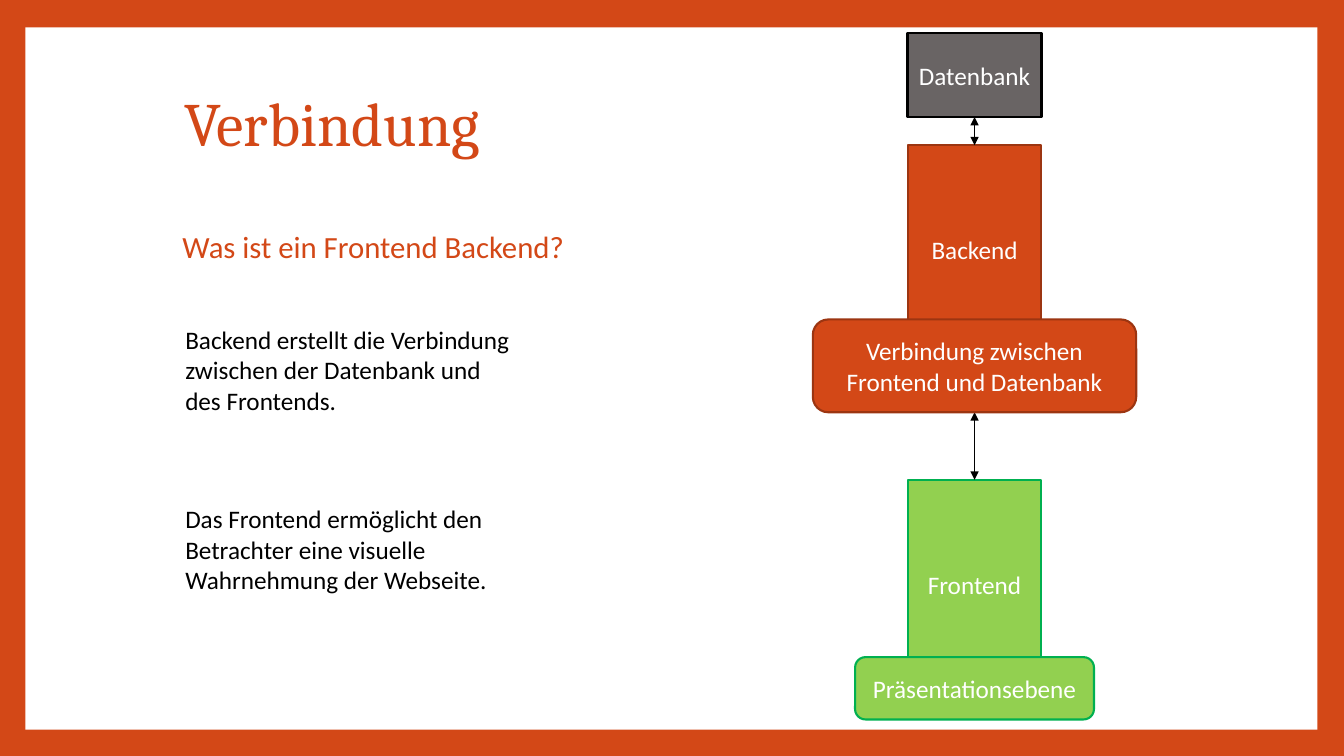
"""Build the slide on how backend and frontend connect."""
from lxml import etree
from pptx import Presentation
from pptx.dml.color import RGBColor
from pptx.enum.shapes import MSO_CONNECTOR, MSO_SHAPE
from pptx.enum.text import MSO_ANCHOR, PP_ALIGN
from pptx.oxml.ns import qn
from pptx.util import Cm, Pt

RECT, ROUNDED = MSO_SHAPE.RECTANGLE, MSO_SHAPE.ROUNDED_RECTANGLE
STRAIGHT = MSO_CONNECTOR.STRAIGHT
TOP, MIDDLE = MSO_ANCHOR.TOP, MSO_ANCHOR.MIDDLE
LEFT, CENTER = PP_ALIGN.LEFT, PP_ALIGN.CENTER

THEME = {
    "accent": "D34817", "accent_line": "9C3511",
    "green": "92D050", "green_line": "00B050",
    "grey": "696464", "black": "000000", "white": "FFFFFF",
    "heading_font": "Cambria", "body_font": "Calibri",
    "title_size": 44, "subtitle_size": 22, "body_size": 18,
    "border": 1.5, "arrow": 0.79,
}

SLIDE_SIZE = (33.87, 19.05)
PANEL = (0.64, 0.69, 32.56, 17.7)
TITLE = ("Verbindung", (4.39, 1.3, 27.43, 3.76))
SUBTITLE = ("Was ist ein Frontend Backend?", (4.35, 5.72, 27.3, 1.14))
EXPLANATIONS = [
    ("Backend erstellt die Verbindung zwischen der Datenbank und des Frontends.",
     (4.42, 8.05, 8.99, 2.57)),
    ("Das Frontend ermöglicht den Betrachter eine visuelle Wahrnehmung der Webseite.",
     (4.42, 12.57, 8.41, 2.57)),
]

STACK_CENTER = 24.56
LAYERS = {
    "Backend": (RECT, 3.66, 3.35, 5.26, "accent", "accent_line"),
    "Frontend": (RECT, 12.09, 3.35, 5.26, "green", "green_line"),
    "Datenbank": (RECT, 0.84, 3.38, 2.11, "grey", "black"),
}
INTERFACES = {
    "Verbindung zwischen Frontend und Datenbank":
        (ROUNDED, 8.05, 8.15, 2.34, "accent", "accent_line"),
    "Präsentationsebene": (ROUNDED, 16.56, 6.02, 1.57, "green", "green_line"),
}
LINKS = [
    ("Datenbank", "Backend"),
    ("Verbindung zwischen Frontend und Datenbank", "Frontend"),
]


def color(name):
    return RGBColor.from_string(THEME[name])


def write(frame, text, *, size="body_size", font="body_font", ink="black",
          align=LEFT, anchor=TOP, spacing=1.0):
    frame.word_wrap = True
    frame.vertical_anchor = anchor
    paragraph = frame.paragraphs[0]
    paragraph.text = text
    paragraph.alignment = align
    paragraph.line_spacing = spacing
    paragraph.font.size = Pt(THEME[size])
    paragraph.font.name = THEME[font]
    paragraph.font.color.rgb = color(ink)


def add_text(slide, text, place, **style):
    box = slide.shapes.add_textbox(*map(Cm, place))
    write(box.text_frame, text, **style)


def add_block(slide, outline, place, fill, border=None):
    block = slide.shapes.add_shape(outline, *map(Cm, place))
    block.shadow.inherit = False
    block.fill.solid()
    block.fill.fore_color.rgb = color(fill)
    if border:
        block.line.color.rgb = color(border)
        block.line.width = Pt(THEME["border"])
    else:
        block.line.fill.background()
    return block


def add_layer(slide, label, layer):
    outline, top, width, height, fill, border = layer
    place = (STACK_CENTER - width / 2, top, width, height)
    block = add_block(slide, outline, place, fill, border)
    write(block.text_frame, label, ink="white", align=CENTER, anchor=MIDDLE)


def add_link(slide, start, end):
    x = Cm(STACK_CENTER)
    link = slide.shapes.add_connector(STRAIGHT, x, Cm(start), x, Cm(end))
    link.line.color.rgb = color("black")
    link.line.width = Pt(THEME["arrow"])
    outline = link.line._get_or_add_ln()
    for tip in ("a:headEnd", "a:tailEnd"):
        etree.SubElement(outline, qn(tip), type="triangle")
    etree.SubElement(link._element.spPr, qn("a:effectLst"))


def main():
    deck = Presentation()
    deck.slide_width, deck.slide_height = map(Cm, SLIDE_SIZE)
    slide = deck.slides.add_slide(deck.slide_layouts[6])
    slide.background.fill.solid()
    slide.background.fill.fore_color.rgb = color("accent")

    add_block(slide, RECT, PANEL, "white")
    add_text(slide, *TITLE, size="title_size", font="heading_font",
             ink="accent", anchor=MIDDLE, spacing=0.9)
    add_text(slide, *SUBTITLE, size="subtitle_size", ink="accent", spacing=0.9)

    for label, layer in LAYERS.items():
        add_layer(slide, label, layer)
    blocks = {**LAYERS, **INTERFACES}
    for upper, lower in LINKS:
        _, top, _, height, _, _ = blocks[upper]
        add_link(slide, top + height, blocks[lower][1])
    for label, layer in INTERFACES.items():
        add_layer(slide, label, layer)

    for text, place in EXPLANATIONS:
        add_text(slide, text, place)
    deck.save("out.pptx")


if __name__ == "__main__":
    main()
